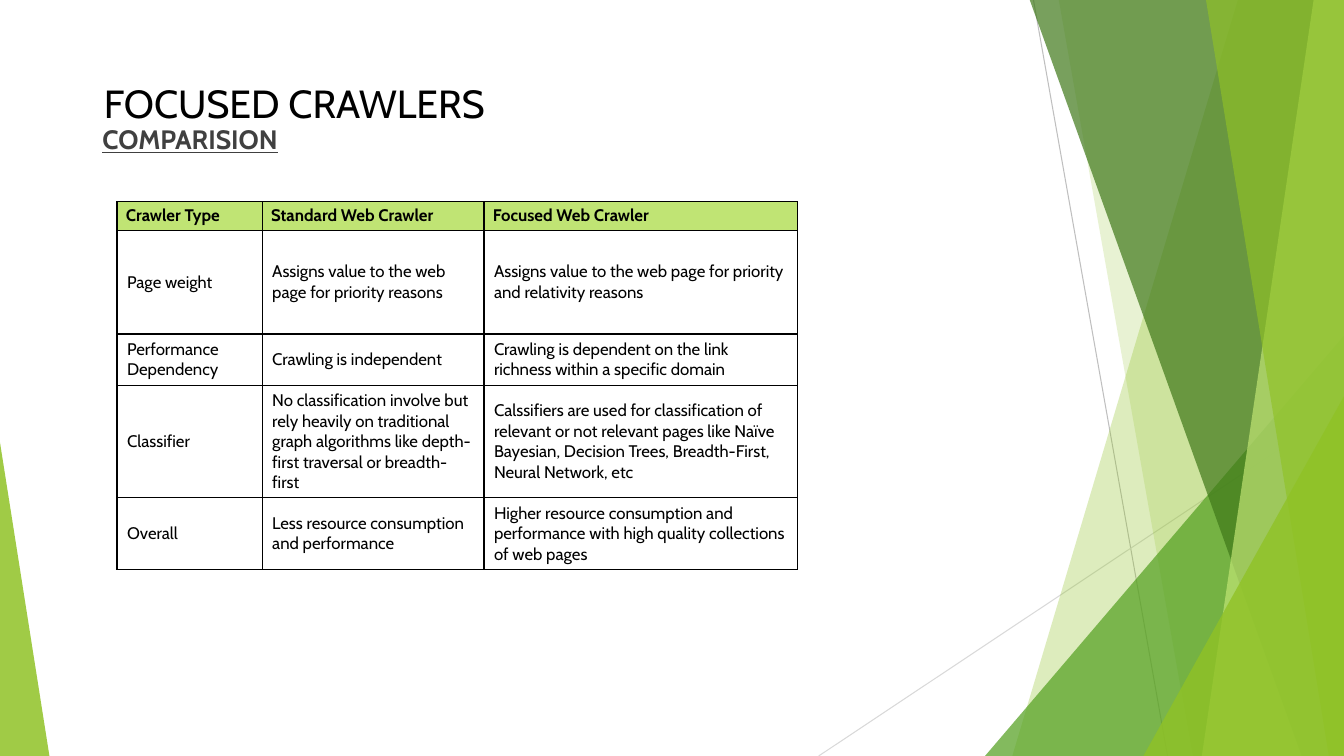
from typing import NamedTuple

from lxml.etree import SubElement
from pptx import Presentation
from pptx.dml.color import RGBColor
from pptx.enum.shapes import MSO_CONNECTOR, MSO_SHAPE
from pptx.enum.text import MSO_ANCHOR, MSO_AUTO_SIZE, PP_ALIGN
from pptx.oxml.ns import qn
from pptx.util import Inches, Pt

FONT = "Cabin"
WIDTH, HEIGHT = 13.33, 7.5
BAND_TOP = -0.01
COLORS = {
    "black": "000000",
    "gray": "404040",
    "line": "BFBFBF",
    "pale line": "D9D9D9",
    "lime": "90C226",
    "green": "54A021",
    "dark green": "3F7819",
    "light lime": "C0E474",
}


class Ray(NamedTuple):
    start: tuple[float, float]
    end: tuple[float, float]
    color: str


class Band(NamedTuple):
    top_x: float
    bottom_x: float
    color: str
    opacity: int


class Triangle(NamedTuple):
    left: float
    top: float
    width: float
    apex: float
    color: str
    opacity: int


DECORATION = [
    Ray((10.25, 0), (11.58, HEIGHT), "line"),
    Ray((WIDTH, 4.03), (8.12, HEIGHT), "pale line"),
    Band(12.28, 10.04, "lime", 30),
    Band(10.5, 11.83, "lime", 20),
    Triangle(9.77, 3.33, 3.56, 1, "green", 72),
    Band(10.21, 12.91, "dark green", 70),
    Band(13.03, 11.92, "light lime", 70),
    Band(11.96, 13.18, "lime", 65),
    Triangle(11.34, 3.93, 1.99, 1, "lime", 80),
    Triangle(0, 4.39, 0.49, 0, "lime", 85),
]

COLUMN_WIDTHS = [1.44, 2.2, 3.11]
ROW_HEIGHTS = [0.28, 1.03, 0.5, 1.1, 0.71]
ROWS = [
    ("Crawler Type", "Standard Web Crawler", "Focused Web Crawler"),
    ("Page weight",
     "Assigns value to the web page for priority reasons",
     "Assigns value to the web page for priority and relativity reasons"),
    ("Performance\nDependency",
     "Crawling is independent",
     "Crawling is dependent on the link richness within a specific domain"),
    ("Classifier",
     "No classification involve but rely heavily on traditional graph "
     "algorithms like depth-first traversal or breadth-first",
     "Calssifiers are used for classification of relevant or not relevant pages "
     "like Naïve Bayesian, Decision Trees, Breadth-First, Neural Network, etc"),
    ("Overall",
     "Less resource consumption\nand performance",
     "Higher resource consumption and performance with high quality "
     "collections of web pages"),
]


def rgb(name: str) -> RGBColor:
    return RGBColor.from_string(COLORS[name])


def place(shape, left: float, top: float, width: float, height: float) -> None:
    shape.left, shape.top = Inches(left), Inches(top)
    shape.width, shape.height = Inches(width), Inches(height)


def set_font(font, size: float, color: str) -> None:
    font.name, font.size = FONT, Pt(size)
    font.color.rgb = rgb(color)


def paint(shape, color: str, opacity: int) -> None:
    shape.shadow.inherit = False
    shape.line.fill.background()
    shape.fill.solid()
    shape.fill.fore_color.rgb = rgb(color)
    fill_color = shape.fill._xPr.find(".//" + qn("a:srgbClr"))
    SubElement(fill_color, qn("a:alpha"), val=str(opacity * 1000))


def draw_ray(shapes, ray: Ray) -> None:
    points = [Inches(value) for value in ray.start + ray.end]
    line = shapes.add_connector(MSO_CONNECTOR.STRAIGHT, *points)
    line.line.color.rgb = rgb(ray.color)
    line.line.width = Pt(0.75)
    SubElement(line._element.spPr, qn("a:effectLst"))


def draw_band(shapes, band: Band) -> None:
    """Fill from a slanted left edge to the right edge of the slide."""
    builder = shapes.build_freeform(Inches(band.top_x), Inches(BAND_TOP))
    corners = [(WIDTH, BAND_TOP), (WIDTH, HEIGHT), (band.bottom_x, HEIGHT)]
    builder.add_line_segments([(Inches(x), Inches(y)) for x, y in corners])
    paint(builder.convert_to_shape(), band.color, band.opacity)


def draw_triangle(shapes, triangle: Triangle) -> None:
    shape = shapes.add_shape(
        MSO_SHAPE.ISOSCELES_TRIANGLE, Inches(triangle.left), Inches(triangle.top),
        Inches(triangle.width), Inches(HEIGHT - triangle.top))
    shape.adjustments[0] = triangle.apex
    paint(shape, triangle.color, triangle.opacity)


def draw_decoration(page) -> None:
    """Draw the facets in one group behind the placeholders."""
    group = page.shapes.add_group_shape()
    draw = {Ray: draw_ray, Band: draw_band, Triangle: draw_triangle}
    for item in DECORATION:
        draw[type(item)](group.shapes, item)
    page.shapes._spTree.insert(2, group._element)


def write_headings(page) -> None:
    title, body = page.shapes.title, page.placeholders[1]
    place(title, 0.93, 0.74, 4.15, 0.57)
    place(body, 0.86, 1.17, 9.33, 6.06)
    for box in (title, body):
        box.text_frame.word_wrap = True
        box.text_frame.vertical_anchor = MSO_ANCHOR.TOP
        box.text_frame.auto_size = MSO_AUTO_SIZE.NONE

    title.text_frame.text = "FOCUSED CRAWLERS"
    para = title.text_frame.paragraphs[0]
    para.alignment = PP_ALIGN.LEFT
    set_font(para.font, 28, "black")

    para = body.text_frame.paragraphs[0]
    para.space_before = Pt(10)
    properties = para._p.get_or_add_pPr()
    properties.set("marL", "0")
    properties.set("indent", "0")
    SubElement(properties, qn("a:buNone"))
    for text, size in ((" ", 18), ("COMPARISION", 19)):
        span = para.add_run()
        span.text = text
        set_font(span.font, size, "gray")
    span.font.bold = span.font.underline = True


def add_borders(cell) -> None:
    properties = cell._tc.get_or_add_tcPr()
    for index, side in enumerate(("lnL", "lnR", "lnT", "lnB")):
        line = SubElement(properties, qn(f"a:{side}"), w=str(Pt(1)))
        fill = SubElement(line, qn("a:solidFill"))
        SubElement(fill, qn("a:srgbClr"), val=COLORS["black"])
        properties.insert(index, line)


def format_cell(cell, text: str, header: bool) -> None:
    cell.vertical_anchor = MSO_ANCHOR.MIDDLE
    across, down = (0.09, 0.04) if header else (0.1, 0.05)
    cell.margin_left = cell.margin_right = Inches(across)
    cell.margin_top = cell.margin_bottom = Inches(down)
    if header:
        cell.fill.solid()
        cell.fill.fore_color.rgb = rgb("light lime")
    else:
        cell.fill.background()
    para = cell.text_frame.paragraphs[0]
    para.text = text
    set_font(para.font, 12, "black")
    para.font.bold = header
    add_borders(cell)


def draw_table(page) -> None:
    table = page.shapes.add_table(
        len(ROWS), len(COLUMN_WIDTHS), Inches(1.16), Inches(2),
        Inches(sum(COLUMN_WIDTHS)), Inches(sum(ROW_HEIGHTS))).table
    table.first_row = table.horz_banding = False
    for column, width in zip(table.columns, COLUMN_WIDTHS):
        column.width = Inches(width)
    for index, (row, height) in enumerate(zip(table.rows, ROW_HEIGHTS)):
        row.height = Inches(height)
        for cell, text in zip(row.cells, ROWS[index]):
            format_cell(cell, text, header=index == 0)


def main() -> None:
    deck = Presentation()
    deck.slide_width, deck.slide_height = Inches(WIDTH), Inches(HEIGHT)
    page = deck.slides.add_slide(deck.slide_layouts[1])
    draw_decoration(page)
    write_headings(page)
    draw_table(page)
    deck.save("out.pptx")


if __name__ == "__main__":
    main()
